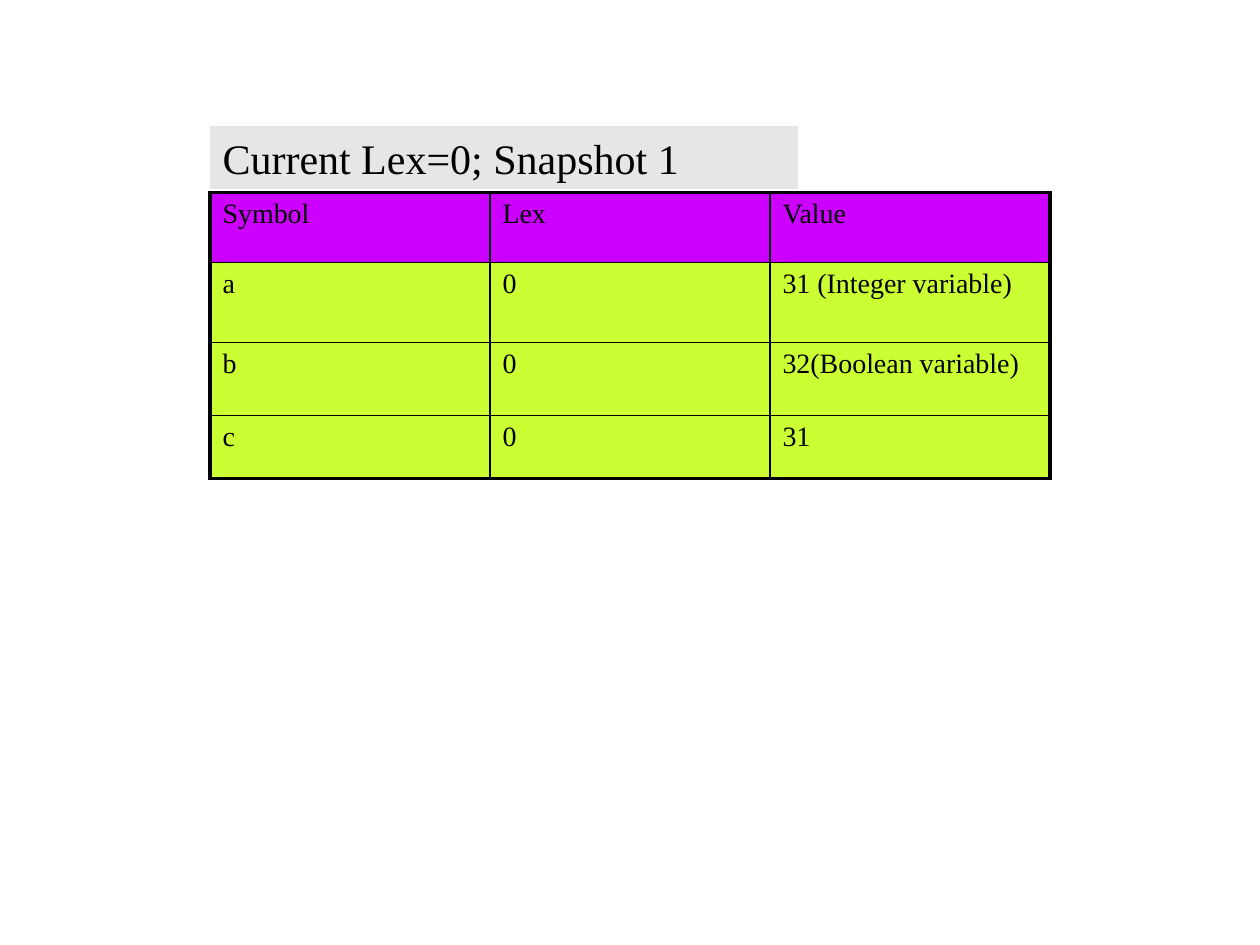
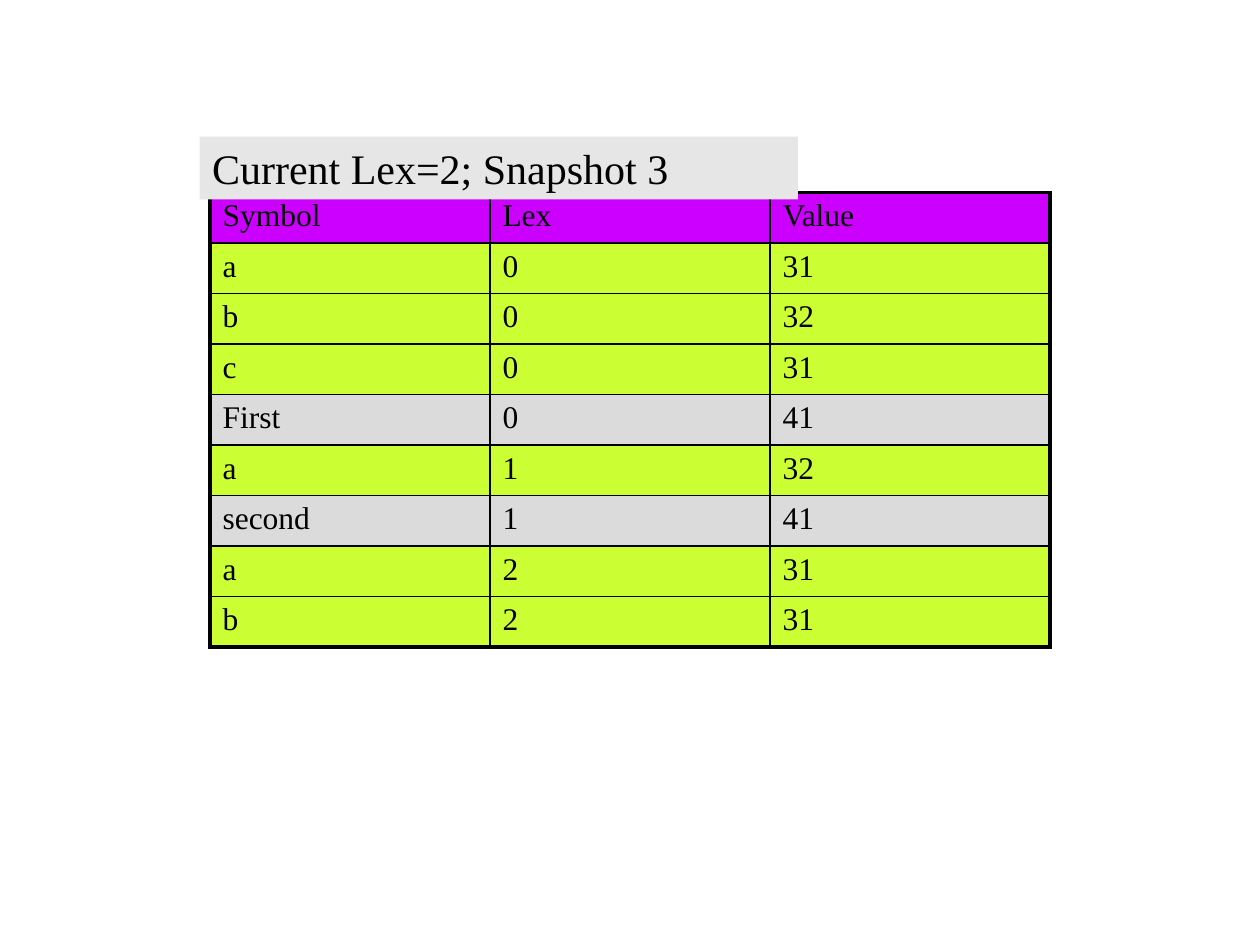
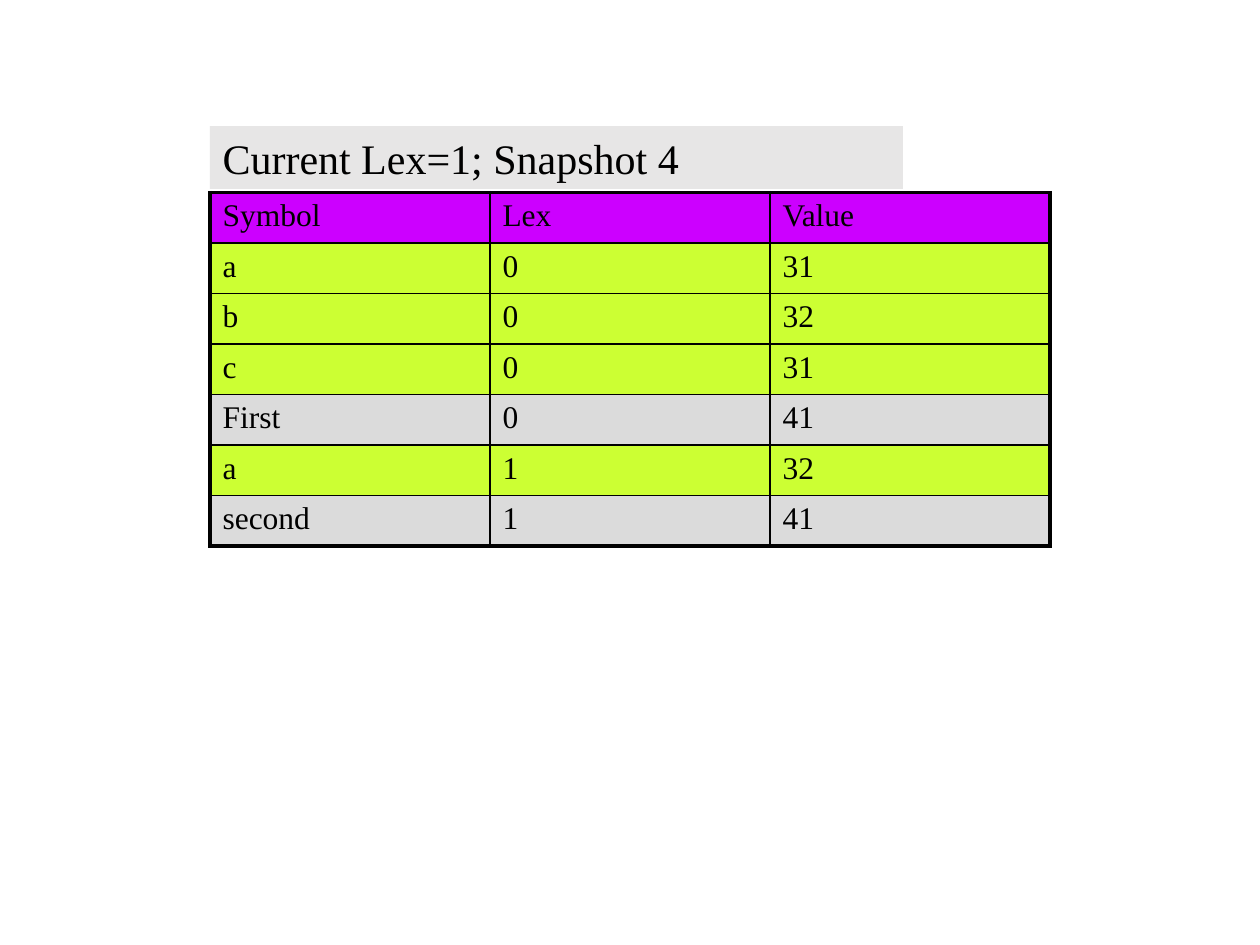
from lxml import etree
from pptx import Presentation
from pptx.dml.color import RGBColor
from pptx.enum.text import MSO_ANCHOR, MSO_AUTO_SIZE, PP_ALIGN
from pptx.oxml.ns import qn
from pptx.util import Pt

TOP = MSO_ANCHOR.TOP
FIXED = MSO_AUTO_SIZE.NONE
LEFT = PP_ALIGN.LEFT

# Twice 126 px to the inch, so that half steps stay whole
SCALE = 914400 / 252
FONT = "Times New Roman"
THIN, THICK = 1, 2.25
COLORS = {
    "ink": "000000",
    "bar": "E7E6E6",
    "head": "CC00FF",
    "name": "CCFF33",
    "proc": "DBDBDB",
}

# Symbol table contents
HEAD = ("Symbol", "Lex", "Value")
PROC = "41"
TYPED = [("a", "0", "31 (Integer variable)"),
         ("b", "0", "32(Boolean variable)"),
         ("c", "0", "31")]
OUTER = [("a", "0", "31"), ("b", "0", "32"), ("c", "0", "31"),
         ("First", "0", PROC), ("a", "1", "32"), ("second", "1", PROC)]
INNER = [("a", "2", "31"), ("b", "2", "31")]


def px(n):
    return round(n * SCALE)


def rgb(name):
    return RGBColor.from_string(COLORS[name])


def put_text(frame, text, size=18, color="ink", before=20):
    """Fill a frame with one left-aligned line; before is a percentage."""
    para = frame.paragraphs[0]
    para.alignment = LEFT
    gap = para._p.get_or_add_pPr().get_or_add_spcBef()
    etree.SubElement(gap, qn("a:spcPct"), val=str(before * 1000))
    run = para.add_run()
    run.text = text
    run.font.name = FONT
    run.font.size = Pt(size)
    run.font.bold = False
    run.font.color.rgb = rgb(color)


def add_edge(cell, side, width):
    props = cell._tc.get_or_add_tcPr()
    line = etree.SubElement(props, qn("a:ln" + side), w=str(Pt(width)))
    fill = etree.SubElement(line, qn("a:solidFill"))
    etree.SubElement(fill, qn("a:srgbClr"), val=COLORS["ink"])


class Deck:
    def __init__(self):
        self.prs = Presentation()
        self.prs.slide_width = px(2520)
        self.prs.slide_height = px(1890)
        self.slide = None

    def new(self):
        self.slide = self.prs.slides.add_slide(self.prs.slide_layouts[5])

    def title(self, text, left, top, width):
        bar = self.slide.shapes.title
        bar.left, bar.top, bar.width, bar.height = map(
            px, (left, top, width, 126))
        bar.fill.solid()
        bar.fill.fore_color.rgb = rgb("bar")
        frame = bar.text_frame
        frame.word_wrap = True
        frame.auto_size = FIXED
        frame.vertical_anchor = TOP
        put_text(frame, text, size=24, before=50)
        # The bar lies over the table
        self.slide.shapes._spTree.append(bar._element)

    def table(self, body, height, size=18, steps=()):
        """Rows share the height evenly unless steps gives each one."""
        data = [HEAD, *body]
        grid = self.slide.shapes.add_table(
            len(data), len(HEAD), px(420), px(385), px(1680), px(height)).table
        grid.first_row = grid.horz_banding = False
        for row, step in zip(grid.rows, steps):
            row.height = px(step)
        end, last = len(data) - 1, len(HEAD) - 1
        for r, items in enumerate(data):
            kind = "head" if r == 0 else "proc" if items[-1] == PROC else "name"
            for c, text in enumerate(items):
                cell = grid.cell(r, c)
                rims = {"L": c == 0, "R": c == last, "T": r == 0, "B": r == end}
                for side, rim in rims.items():
                    add_edge(cell, side, THICK if rim else THIN)
                cell.fill.solid()
                cell.fill.fore_color.rgb = rgb(kind)
                put_text(cell.text_frame, text, size=size)


def main():
    deck = Deck()

    # Snapshot 1: global names
    deck.new()
    deck.table(TYPED, 572, size=16, steps=(140, 160, 146, 126))
    deck.title("Current Lex=0; Snapshot 1", 420, 252, 1176)

    # Snapshot 3: inside the second procedure
    deck.new()
    deck.table(OUTER + INNER, 909)
    deck.title("Current Lex=2; Snapshot 3", 399, 273, 1197)

    # Snapshot 4: back in the first procedure
    deck.new()
    deck.table(OUTER, 707)
    deck.title("Current Lex=1; Snapshot 4", 420, 252, 1386)

    deck.prs.save("out.pptx")


if __name__ == "__main__":
    main()
